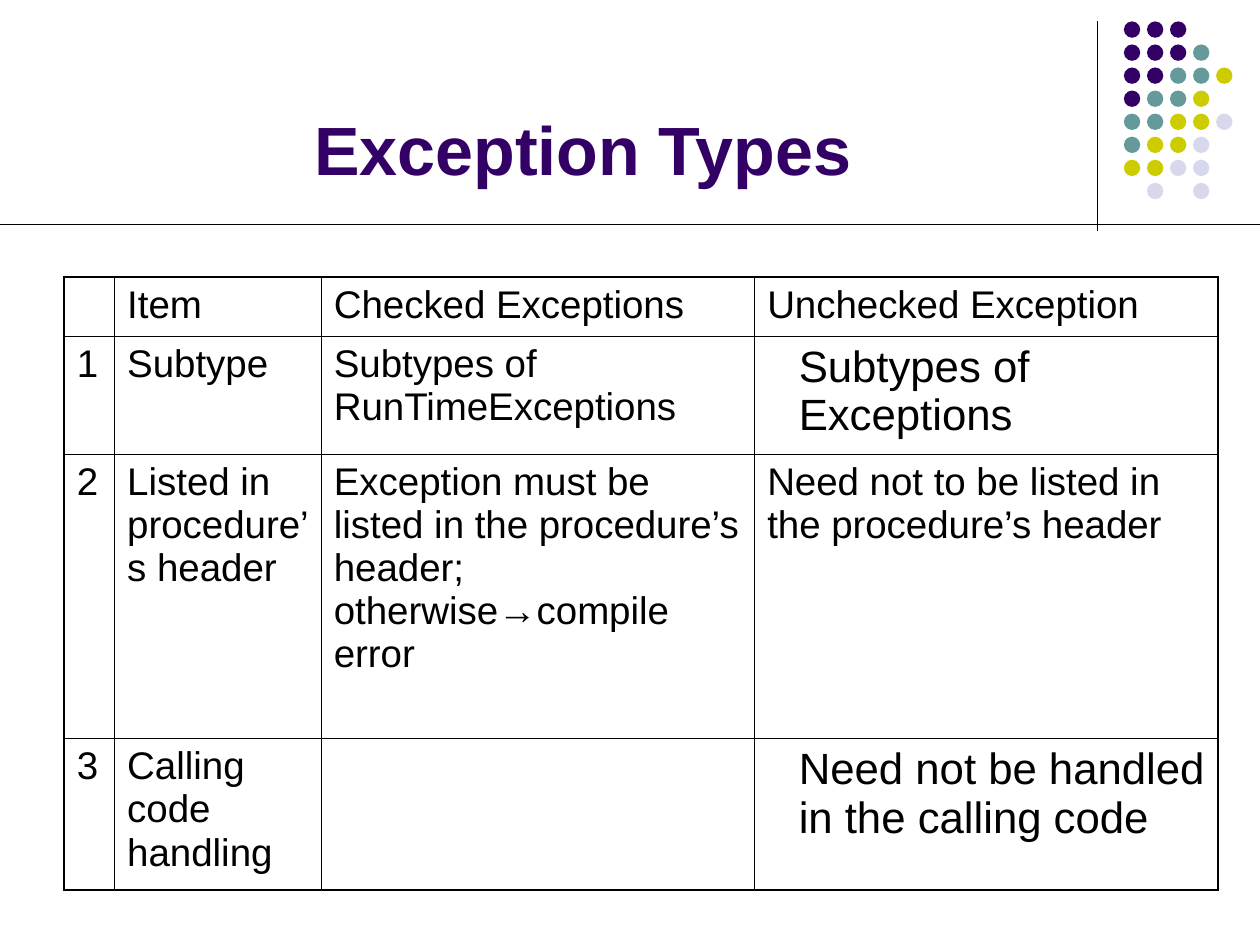
from pptx import Presentation
from pptx.util import Inches, Pt
from pptx.dml.color import RGBColor
from pptx.enum.shapes import MSO_SHAPE, MSO_CONNECTOR
from pptx.enum.text import PP_ALIGN, MSO_ANCHOR
from pptx.oxml.ns import qn
from lxml.etree import SubElement

TITLE = "Exception Types"
ROWS = [
    ["", "Item", "Checked Exceptions", "Unchecked Exception"],
    ["1", "Subtype", "Subtypes of RunTimeExceptions", "Subtypes of Exceptions"],
    ["2", "Listed in procedure’s header",
     "Exception must be listed in the procedure’s header; otherwise→compile error",
     "Need not to be listed in the procedure’s header"],
    ["3", "Calling code handling", "", "Need not be handled in the calling code"],
]
INDENTED = {(1, 3), (3, 3)}
COL_WIDTHS = [0.4, 1.64, 3.44, 3.68]
ROW_HEIGHTS = [0.47, 0.93, 2.26, 1.2]
DOTS = ["PPP", "PPPT", "PPTTY", "PTTY", "TTYYL", "TYYL", "YYLL", " L L"]
DOT_COLORS = {"P": "330066", "T": "669999", "Y": "CCCC00", "L": "D8D8EC"}
DOT_LEFT, DOT_TOP, DOT_STEP, DOT_SIZE = 8.92, 0.17, 0.183, 0.13
RULES = [(8.71, 0.17, 8.71, 1.83), (0, 1.78, 10, 1.78)]
THIN, THICK = 0.45, 1.08


def color(value):
    return RGBColor.from_string(value)


def add_run(p, text, size, hex_color, bold=False):
    r = p.add_run()
    r.text = text
    r.font.name = "Arial"
    r.font.size = Pt(size)
    r.font.bold = bold
    r.font.color.rgb = color(hex_color)


def add_rule(s, ends):
    line = s.shapes.add_connector(MSO_CONNECTOR.STRAIGHT, *map(Inches, ends))
    line.line.color.rgb = color("000000")
    line.line.width = Pt(0.74)
    SubElement(line._element.spPr, qn("a:effectLst"))


def add_dot(s, row, col, hex_color):
    sp = s.shapes.add_shape(
        MSO_SHAPE.OVAL, Inches(DOT_LEFT + col * DOT_STEP),
        Inches(DOT_TOP + row * DOT_STEP), Inches(DOT_SIZE), Inches(DOT_SIZE))
    sp.shadow.inherit = False
    sp.fill.solid()
    sp.fill.fore_color.rgb = color(hex_color)
    sp.line.fill.background()


def set_borders(cell, row, col):
    outer = {"L": col == 0, "R": col == len(COL_WIDTHS) - 1,
             "T": row == 0, "B": row == len(ROW_HEIGHTS) - 1}
    tc_pr = cell._tc.get_or_add_tcPr()
    for side, is_outer in outer.items():
        ln = SubElement(tc_pr, qn("a:ln" + side),
                        w=str(int(Pt(THICK if is_outer else THIN))))
        fill = SubElement(ln, qn("a:solidFill"))
        SubElement(fill, qn("a:srgbClr"), val="000000")


def fill_cell(cell, text, indented):
    if not text:
        return
    p = cell.text_frame.paragraphs[0]
    p.space_before = Pt(6.2 if indented else 5.5)
    if indented:
        p.level = 1
        p_pr = p._p.get_or_add_pPr()
        p_pr.set("marL", str(Inches(0.25)))
        p_pr.set("indent", "0")
    add_run(p, text, 25 if indented else 22, "000000")


prs = Presentation()
prs.slide_width, prs.slide_height = Inches(10), Inches(7.5)
s = prs.slides.add_slide(prs.slide_layouts[6])

for ends in RULES:
    add_rule(s, ends)
for row, codes in enumerate(DOTS):
    for col, code in enumerate(codes):
        if code in DOT_COLORS:
            add_dot(s, row, col, DOT_COLORS[code])

title = s.shapes.add_textbox(Inches(0.5), Inches(0.13), Inches(8.25), Inches(1.42))
tf = title.text_frame
tf.word_wrap = True
tf.vertical_anchor = MSO_ANCHOR.BOTTOM
p = tf.paragraphs[0]
p.alignment = PP_ALIGN.CENTER
add_run(p, TITLE, 39, "330066", True)

table = s.shapes.add_table(
    len(ROWS), len(COL_WIDTHS), Inches(0.51), Inches(2.2),
    Inches(sum(COL_WIDTHS)), Inches(sum(ROW_HEIGHTS))).table
table.first_row = table.horz_banding = False
for column, width in zip(table.columns, COL_WIDTHS):
    column.width = Inches(width)
for row, (texts, height) in enumerate(zip(ROWS, ROW_HEIGHTS)):
    table.rows[row].height = Inches(height)
    for col, text in enumerate(texts):
        cell = table.cell(row, col)
        set_borders(cell, row, col)
        cell.fill.background()
        fill_cell(cell, text, (row, col) in INDENTED)

prs.save("out.pptx")
